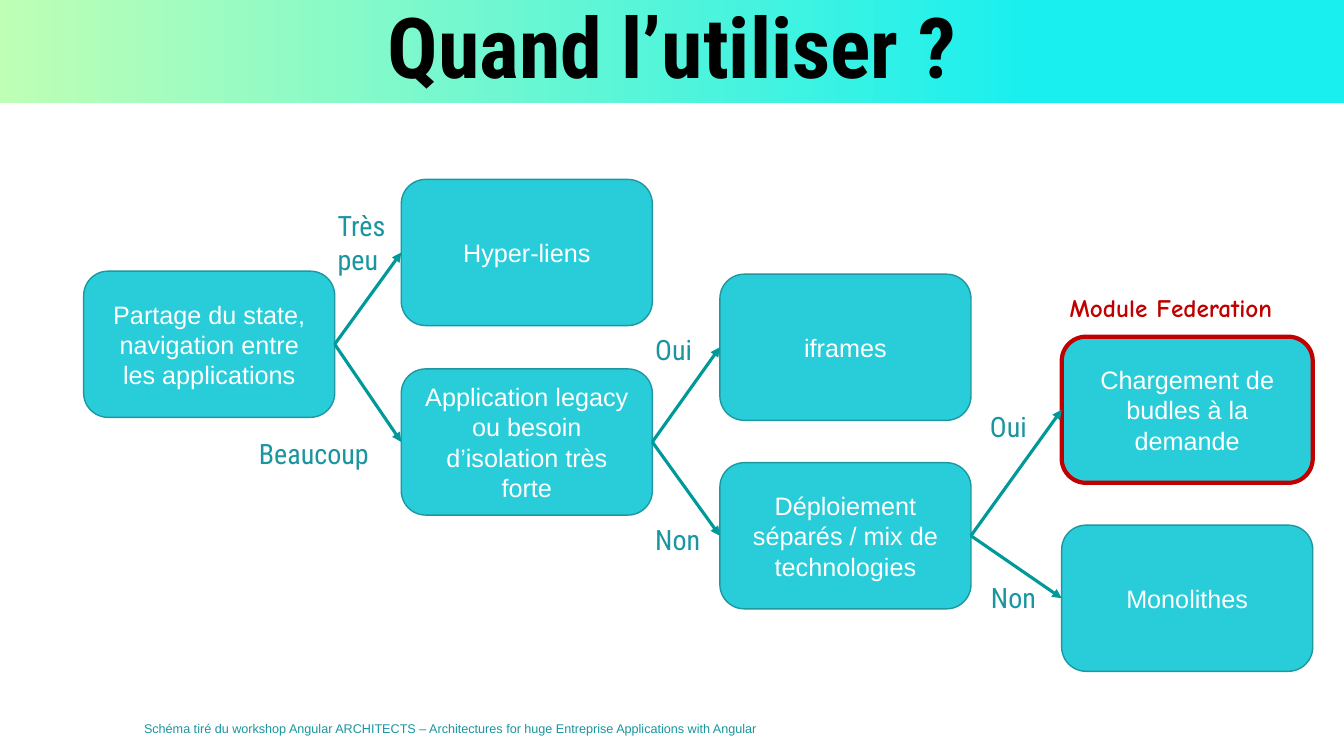
from dataclasses import dataclass

from lxml import etree
from pptx import Presentation
from pptx import util as u
from pptx.dml.color import RGBColor
from pptx.enum import shapes, text
from pptx.oxml.ns import qn


@dataclass(frozen=True)
class Theme:
    band_start: str = "BEFFB5"
    band_end: str = "19EFEF"
    box: str = "29CCD9"
    outline: str = "1E97A1"
    arrow: str = "009999"
    label: str = "1B959F"
    accent: str = "C00000"
    dark: str = "000000"
    light: str = "FFFFFF"
    heading_font: str = "Roboto Condensed"
    body_font: str = "Arial"
    accent_font: str = "Comic Neue"
    title_size: int = 60
    label_size: int = 20
    body_size: int = 18
    source_size: int = 9


theme = Theme()


def style(paragraph, font_name, size, color, bold=False):
    paragraph.font.name = font_name
    paragraph.font.size = u.Pt(size)
    paragraph.font.color.rgb = RGBColor.from_string(color)
    paragraph.font.bold = bold


def add_note(slide, wording, place, font_name, size, color, bold=False):
    note = slide.shapes.add_textbox(*map(u.Inches, place))
    note.text_frame.word_wrap = True
    note.text_frame.auto_size = text.MSO_AUTO_SIZE.SHAPE_TO_FIT_TEXT
    note.text_frame.text = wording
    style(note.text_frame.paragraphs[0], font_name, size, color, bold)


deck = Presentation()
deck.slide_width, deck.slide_height = u.Inches(13.33), u.Inches(7.5)
slide = deck.slides.add_slide(deck.slide_layouts[5])

band = slide.shapes.add_shape(
    shapes.MSO_SHAPE.RECTANGLE, 0, 0, deck.slide_width, u.Inches(1.02))
band.shadow.inherit = False
band.line.fill.background()
band.fill.gradient()
band.fill.gradient_angle = 0
band_colors = [(0, theme.band_start), (0.77, theme.band_end)]
for stop, (position, color) in zip(band.fill.gradient_stops, band_colors):
    stop.position = position
    stop.color.rgb = RGBColor.from_string(color)
slide.shapes._spTree.insert(2, band._element)

title = slide.shapes.title
title.left, title.top = 0, u.Inches(0.2)
title.width, title.height = deck.slide_width, u.Inches(0.62)
title.text_frame.text = "Quand l’utiliser ?"
title.text_frame.auto_size = text.MSO_AUTO_SIZE.NONE
title.text_frame.vertical_anchor = text.MSO_ANCHOR.MIDDLE
heading = title.text_frame.paragraphs[0]
heading.alignment = text.PP_ALIGN.CENTER
heading.line_spacing = 0.9
style(heading, theme.heading_font, theme.title_size, theme.dark, True)

steps = {
    "state": (0.83, 2.69, "Partage du state, navigation entre les applications"),
    "links": (3.98, 1.78, "Hyper-liens"),
    "legacy": (3.98, 3.66, "Application legacy ou besoin d’isolation très forte"),
    "iframes": (7.14, 2.72, "iframes"),
    "deploy": (7.14, 4.59, "Déploiement séparés / mix de technologies"),
    "bundles": (10.53, 3.34, "Chargement de budles à la demande"),
    "monolith": (10.53, 5.21, "Monolithes"),
}
boxes = {}
for step, (left, top, wording) in steps.items():
    box = slide.shapes.add_shape(
        shapes.MSO_SHAPE.ROUNDED_RECTANGLE,
        u.Inches(left), u.Inches(top), u.Inches(2.49), u.Inches(1.45))
    box.shadow.inherit = False
    box.fill.solid()
    box.fill.fore_color.rgb = RGBColor.from_string(theme.box)
    chosen = step == "bundles"
    box.line.color.rgb = RGBColor.from_string(theme.accent if chosen else theme.outline)
    box.line.width = u.Pt(3 if chosen else 1)
    box.text_frame.word_wrap = True
    box.text_frame.vertical_anchor = text.MSO_ANCHOR.MIDDLE
    box.text_frame.text = wording
    box.text_frame.paragraphs[0].alignment = text.PP_ALIGN.CENTER
    style(box.text_frame.paragraphs[0], theme.body_font, theme.body_size, theme.light)
    boxes[step] = box

branches = [
    ("state", "links", "Très peu", (3.25, 2.02, 0.81, 0.77)),
    ("state", "legacy", "Beaucoup", (2.47, 4.28, 1.58, 0.44)),
    ("legacy", "iframes", "Oui", (6.4, 3.25, 0.81, 0.44)),
    ("legacy", "deploy", "Non", (6.4, 5.13, 0.81, 0.44)),
    ("deploy", "bundles", "Oui", (9.72, 4.01, 0.81, 0.44)),
    ("deploy", "monolith", "Non", (9.73, 5.71, 0.81, 0.44)),
]
for question, outcome, answer, place in branches:
    arrow = slide.shapes.add_connector(shapes.MSO_CONNECTOR.STRAIGHT, 0, 0, 0, 0)
    arrow.begin_connect(boxes[question], 3)
    arrow.end_connect(boxes[outcome], 1)
    arrow.line.color.rgb = RGBColor.from_string(theme.arrow)
    arrow.line.width = u.Pt(2.25)
    etree.SubElement(arrow.line._get_or_add_ln(), qn("a:tailEnd"), type="triangle")
    etree.SubElement(arrow._element.spPr, qn("a:effectLst"))
    add_note(slide, answer, place, theme.heading_font, theme.label_size, theme.label)

add_note(slide, "Module Federation", (10.51, 2.85, 2.53, 0.4),
         theme.accent_font, theme.body_size, theme.accent, True)
add_note(slide,
         "Schéma tiré du workshop Angular ARCHITECTS – "
         "Architectures for huge Entreprise Applications with Angular",
         (1.33, 7.1, 6.68, 0.25), theme.body_font, theme.source_size, theme.label)

deck.save("out.pptx")
